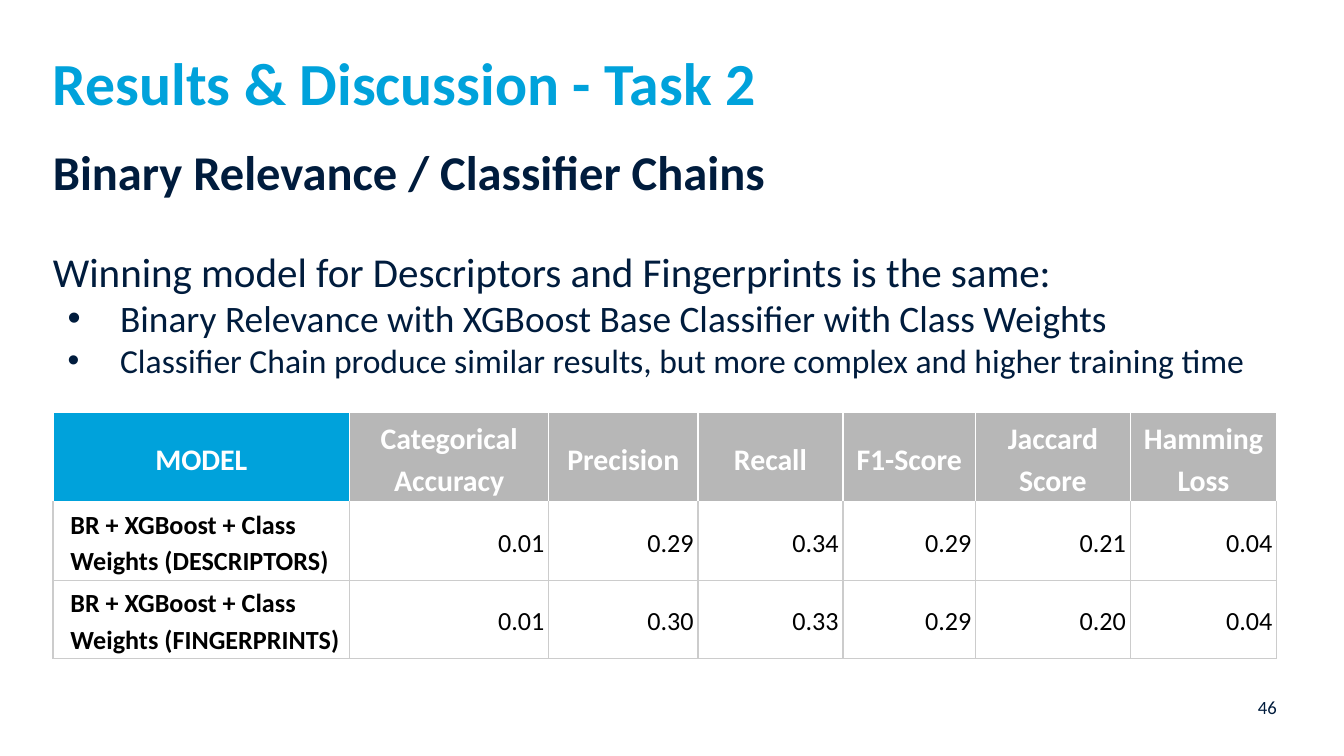
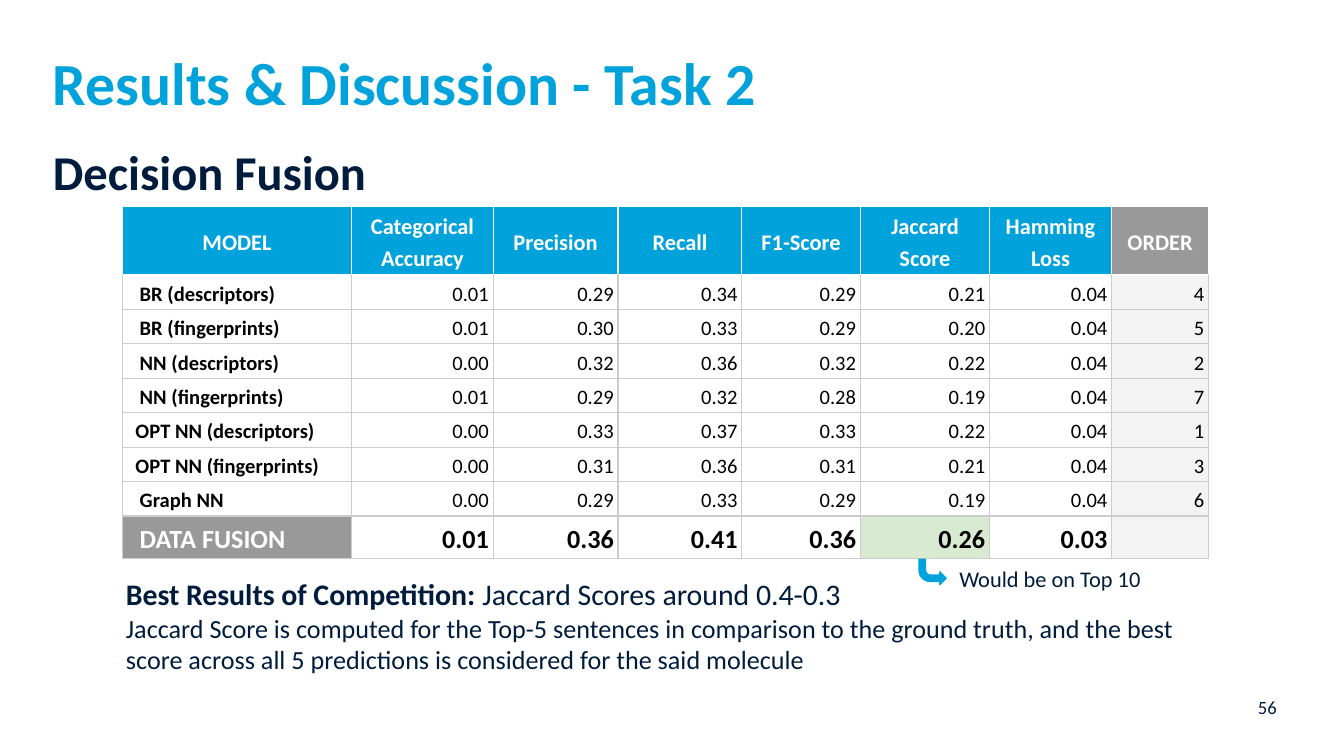
from lxml.etree import SubElement
from pptx import Presentation
from pptx.dml.color import RGBColor
from pptx.enum.shapes import MSO_SHAPE
from pptx.enum.text import MSO_ANCHOR, MSO_AUTO_SIZE, PP_ALIGN
from pptx.oxml import parse_xml
from pptx.oxml.ns import nsdecls, qn
from pptx.util import Cm, Pt

COLORS = {
    "blue": "00A2DB", "navy": "001C3D", "white": "FFFFFF", "black": "000000",
    "silver": "B7B7B7", "gray": "999999", "pale": "F3F3F3", "green": "D9EAD3",
    "rule": "CCCCCC",
}
FONT = "Calibri"
TITLE = "Results & Discussion - Task 2"
METRICS = ["Categorical Accuracy", "Precision", "Recall", "F1-Score",
           "Jaccard Score", "Hamming Loss"]

RELEVANCE_BODY = [
    ("Binary Relevance / Classifier Chains", {"size": 26, "bold": True}),
    ("Winning model for Descriptors and Fingerprints is the same:",
     {"size": 22, "before": 24.4}),
    ("Binary Relevance with XGBoost Base Classifier with Class Weights",
     {"size": 20, "bullet": True}),
    ("Classifier Chain produce similar results, but more complex and higher training time",
     {"size": 18, "bullet": True}),
]
RELEVANCE_ROWS = [
    ["MODEL", *METRICS],
    ["BR + XGBoost + Class Weights (DESCRIPTORS)",
     "0.01", "0.29", "0.34", "0.29", "0.21", "0.04"],
    ["BR + XGBoost + Class Weights (FINGERPRINTS)",
     "0.01", "0.30", "0.33", "0.29", "0.20", "0.04"],
]
FUSION_BODY = [("Decision Fusion", {"size": 26, "bold": True})]
FUSION_ROWS = [
    ["MODEL", *METRICS, "ORDER"],
    ["BR (descriptors)", "0.01", "0.29", "0.34", "0.29", "0.21", "0.04", "4"],
    ["BR (fingerprints)", "0.01", "0.30", "0.33", "0.29", "0.20", "0.04", "5"],
    ["NN (descriptors)", "0.00", "0.32", "0.36", "0.32", "0.22", "0.04", "2"],
    ["NN (fingerprints)", "0.01", "0.29", "0.32", "0.28", "0.19", "0.04", "7"],
    ["OPT NN (descriptors)", "0.00", "0.33", "0.37", "0.33", "0.22", "0.04", "1"],
    ["OPT NN (fingerprints)", "0.00", "0.31", "0.36", "0.31", "0.21", "0.04", "3"],
    ["Graph NN", "0.00", "0.29", "0.33", "0.29", "0.19", "0.04", "6"],
    ["DATA FUSION", "0.01", "0.36", "0.41", "0.36", "0.26", "0.03", ""],
]
COMPETITION = ("Best Results of Competition:", " Jaccard Scores around 0.4-0.3")
SCORING = ("Jaccard Score is computed for the Top-5 sentences in comparison to the "
           "ground truth, and the best score across all 5 predictions is considered "
           "for the said molecule")
CALLOUT = "Would be on Top 10"


def rgb(name):
    return RGBColor.from_string(COLORS[name])


def write(para, text, *, size, color="navy", bold=False, align=PP_ALIGN.LEFT,
          before=0, spacing=1.0, bullet=False):
    """Add one run to a paragraph and format both."""
    properties = para._p.get_or_add_pPr()
    if bullet:
        properties.set("marL", str(Cm(1.27)))
        properties.set("indent", str(-Cm(0.99)))
        if properties.find(qn("a:buChar")) is None:
            SubElement(properties, qn("a:buChar")).set("char", "•")
    else:
        properties.set("marL", "0")
        properties.set("indent", "0")
        if properties.find(qn("a:buNone")) is None:
            SubElement(properties, qn("a:buNone"))
    para.alignment = align
    para.space_before = Pt(before)
    para.space_after = Pt(0)
    para.line_spacing = spacing
    if not text:
        para._p.get_or_add_endParaRPr().set("sz", str(size * 100))
        return
    span = para.add_run()
    span.text = text
    span.font.name = FONT
    span.font.size = Pt(size)
    span.font.bold = bold
    span.font.color.rgb = rgb(color)


def place(shape, left, top, width, height, inset=0):
    """Move a text shape and return its prepared text frame."""
    shape.left, shape.top = Cm(left), Cm(top)
    shape.width, shape.height = Cm(width), Cm(height)
    frame = shape.text_frame
    frame.word_wrap = True
    frame.auto_size = MSO_AUTO_SIZE.NONE
    frame.vertical_anchor = MSO_ANCHOR.TOP
    frame.margin_left = frame.margin_right = Cm(inset)
    frame.margin_top = frame.margin_bottom = Cm(inset)
    return frame


def add_text_box(page, *area, inset=0):
    box = page.shapes.add_textbox(0, 0, 0, 0)
    return place(box, *area, inset=inset)


def add_page(deck, number, body, body_width, body_height):
    page = deck.slides.add_slide(deck.slide_layouts[1])
    title = place(page.shapes.title, 1, 0.86, 23.14, 1.57)
    write(title.paragraphs[0], TITLE, size=32, color="blue", bold=True)
    frame = place(page.placeholders[1], 1, 2.69, body_width, body_height)
    for index, (text, style) in enumerate(body):
        para = frame.add_paragraph() if index else frame.paragraphs[0]
        write(para, text, **style)
    footer = add_text_box(page, 23.09, 13.16, 1.04, 0.76)
    write(footer.paragraphs[0], number, size=10, align=PP_ALIGN.RIGHT)
    return page


def set_borders(cell, color, top):
    properties = cell._tc.get_or_add_tcPr()
    sides = {"L": color, "R": color, "T": top, "B": color}
    for index, (side, name) in enumerate(sides.items()):
        properties.insert(index, parse_xml(
            f'<a:ln{side} {nsdecls("a")} w="9525"><a:solidFill>'
            f'<a:srgbClr val="{COLORS[name]}"/></a:solidFill></a:ln{side}>'))


def add_score_table(page, rows, left, top, widths, heights, style_cell):
    """style_cell(row, column) gives the fill, anchor and text format of a cell."""
    table = page.shapes.add_table(
        len(rows), len(widths), Cm(left), Cm(top),
        Cm(sum(widths)), Cm(sum(heights))).table
    table.first_row = table.horz_banding = False
    for column, width in zip(table.columns, widths):
        column.width = Cm(width)
    for row, height in zip(table.rows, heights):
        row.height = Cm(height)
    for r, texts in enumerate(rows):
        for c, text in enumerate(texts):
            cell = table.cell(r, c)
            fill, anchor, style = style_cell(r, c)
            cell.vertical_anchor = anchor
            cell.margin_left = cell.margin_right = Cm(0.08)
            cell.margin_top = cell.margin_bottom = Cm(0.05)
            if r and c == 0:
                cell.margin_left = Cm(0.25 if text.startswith("OPT") else 0.33)
            if fill:
                cell.fill.solid()
                cell.fill.fore_color.rgb = rgb(fill)
            else:
                cell.fill.background()
            set_borders(cell, "rule" if r else "white", "rule" if r > 1 else "white")
            align = (PP_ALIGN.CENTER if r == 0 else
                     PP_ALIGN.RIGHT if c else PP_ALIGN.LEFT)
            write(cell.text_frame.paragraphs[0], text, align=align, spacing=1.15, **style)


def relevance_cell(row, column):
    if row == 0:
        return ("silver" if column else "blue", MSO_ANCHOR.MIDDLE,
                {"size": 16, "bold": True, "color": "white"})
    return None, MSO_ANCHOR.MIDDLE, {"size": 14, "bold": column == 0, "color": "black"}


def fusion_cell(row, column):
    order, jaccard = len(METRICS) + 1, METRICS.index("Jaccard Score") + 1
    last = row == len(FUSION_ROWS) - 1
    if row == 0:
        return ("gray" if column == order else "blue", MSO_ANCHOR.MIDDLE,
                {"size": 12, "bold": True, "color": "white"})
    fill = "pale" if column == order else None
    if last:
        fill = {0: "gray", jaccard: "green"}.get(column, fill)
    return (fill, MSO_ANCHOR.BOTTOM if column else MSO_ANCHOR.MIDDLE,
            {"size": 14 if last else 11, "bold": last or column == 0,
             "color": "white" if last and column == 0 else "black"})


def add_callout_arrow(page):
    arrow = page.shapes.add_shape(
        MSO_SHAPE.BENT_ARROW, Cm(17.37), Cm(10.57), Cm(0.51), Cm(0.48))
    arrow.shadow.inherit = False
    for index, value in enumerate((0.25, 0.25, 0.25, 0.44)):
        arrow.adjustments[index] = value
    arrow.rotation = 180
    arrow._element.spPr.find(qn("a:xfrm")).set("flipH", "1")
    arrow.fill.solid()
    arrow.fill.fore_color.rgb = rgb("blue")
    arrow.line.color.rgb = rgb("blue")
    arrow.line.width = Pt(0.75)


def build_relevance(deck):
    page = add_page(deck, "46", RELEVANCE_BODY, 23.14, 4.65)
    add_score_table(page, RELEVANCE_ROWS, 1, 7.8,
                    [5.61, 3.76, 2.82, 2.74, 2.51, 2.92, 2.77],
                    [1.68, 1.48, 1.48], relevance_cell)


def build_fusion(deck):
    page = add_page(deck, "56", FUSION_BODY, 7.32, 1.57)
    add_score_table(page, FUSION_ROWS, 2.31, 3.91,
                    [4.34, 2.67, 2.36, 2.34, 2.24, 2.44, 2.31, 1.83],
                    [1.28] + [0.65] * 7 + [0.8], fusion_cell)
    notes = add_text_box(page, 2.13, 10.64, 21.21, 2.62, inset=0.25)
    lead, rest = COMPETITION
    write(notes.paragraphs[0], lead, size=16, bold=True)
    write(notes.paragraphs[0], rest, size=16)
    write(notes.add_paragraph(), SCORING, size=14)
    callout = add_text_box(page, 17.88, 10.44, 3.94, 0.76, inset=0.25)
    write(callout.paragraphs[0], CALLOUT, size=12)
    add_callout_arrow(page)


def main():
    deck = Presentation()
    deck.slide_width, deck.slide_height = Cm(25.4), Cm(14.29)
    build_relevance(deck)
    build_fusion(deck)
    deck.save("out.pptx")


if __name__ == "__main__":
    main()
